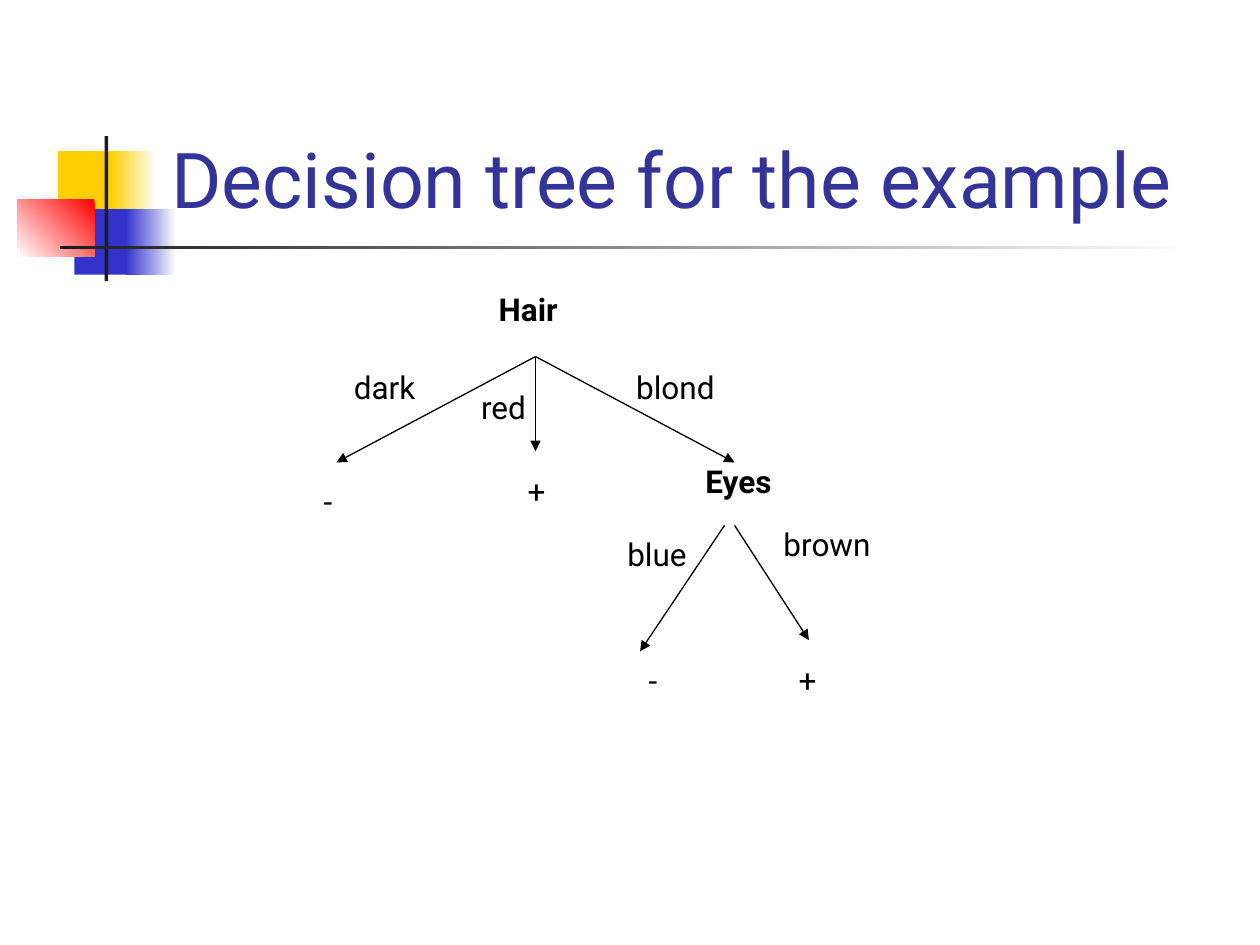
from pptx import Presentation
from pptx.dml.color import RGBColor
from pptx.enum.shapes import MSO_CONNECTOR, MSO_SHAPE
from pptx.enum.text import MSO_ANCHOR, MSO_AUTO_SIZE, PP_ALIGN
from pptx.oxml.ns import qn
from pptx.util import Inches, Pt
from lxml.etree import SubElement

THEME = dict(font="Roboto", title_size=44, label_size=18,
             title="333399", text="000000", white="FFFFFF", yellow="FFCF01",
             blue="3333CC", red="FF0000", dark="1C1C1C")

TITLE = "Decision tree for the example"

# Ornament: box (left, top, width, height), colours, gradient angle
ORNAMENT = [
    ((0.46, 1.2, 0.48, 0.52), ["yellow"], None),
    ((0.88, 1.2, 0.36, 0.52), ["white", "yellow"], 180),
    ((0.59, 1.66, 0.46, 0.52), ["blue"], None),
    ((1, 1.66, 0.4, 0.52), ["white", "blue"], 180),
    ((0.14, 1.58, 0.61, 0.46), ["red", "white"], 225),
    ((0.83, 1.08, 0.03, 1.15), ["dark"], None),
    ((0.48, 1.95, 9, 0.03), ["white", "dark"], 180),
]

# Tree text: wording, left, top, width
ATTRIBUTES = [("Hair", 3.86, 2.25, 0.73), ("Eyes", 5.5, 3.62, 0.75)]
VALUES = [("dark", 2.71, 2.87, 0.73), ("red", 3.72, 3.03, 0.6),
          ("blond", 4.95, 2.87, 0.88), ("blue", 4.88, 4.2, 0.71),
          ("brown", 6.12, 4.12, 0.96)]
LEAVES = [("-", 2.47, 3.78, 0.28), ("+", 4.09, 3.7, 0.34),
          ("-", 5.05, 5.2, 0.28), ("+", 6.24, 5.2, 0.34)]
LABEL_HEIGHT = 0.4

# Branches: start point, end point
HAIR = (4.25, 2.83)
BRANCHES = [(HAIR, (2.67, 3.67)), (HAIR, (4.25, 3.58)), (HAIR, (5.83, 3.67)),
            ((5.75, 4.17), (5.08, 5.17)), ((5.83, 4.17), (6.42, 5.08))]


def color(name):
    return RGBColor.from_string(THEME[name])


def style(p, size, name, bold=False):
    p.font.name = THEME["font"]
    p.font.size = Pt(THEME[size])
    p.font.bold = bold
    p.font.color.rgb = color(name)


def add_block(s, box, colors, angle):
    sp = s.shapes.add_shape(MSO_SHAPE.RECTANGLE, *map(Inches, box))
    sp.shadow.inherit = False
    sp.line.fill.background()
    if angle is None:
        sp.fill.solid()
        sp.fill.fore_color.rgb = color(colors[0])
    else:
        sp.fill.gradient()
        sp.fill.gradient_angle = angle
        for stop, name in zip(sp.fill.gradient_stops, colors):
            stop.color.rgb = color(name)


def add_title(s):
    sp = s.shapes.title
    sp.left, sp.top, sp.width, sp.height = map(Inches, (1.26, 0.23, 8.52, 1.6))
    tf = sp.text_frame
    tf.text = TITLE
    tf.auto_size = MSO_AUTO_SIZE.NONE
    tf.vertical_anchor = MSO_ANCHOR.BOTTOM
    p = tf.paragraphs[0]
    p.alignment = PP_ALIGN.LEFT
    style(p, "title_size", "title")
    s.shapes._spTree.append(sp._element)  # in front of the ornament


def add_branch(s, start, end):
    line = s.shapes.add_connector(MSO_CONNECTOR.STRAIGHT,
                                  *map(Inches, start + end))
    line.line.color.rgb = color("text")
    line.line.width = Pt(0.75)
    SubElement(line.line._get_or_add_ln(), qn("a:tailEnd"), type="triangle")
    SubElement(line._element.spPr, qn("a:effectLst"))


def add_label(s, text, left, top, width, bold=False):
    box = (left, top, width, LABEL_HEIGHT)
    tf = s.shapes.add_textbox(*map(Inches, box)).text_frame
    tf.word_wrap = False
    tf.auto_size = MSO_AUTO_SIZE.SHAPE_TO_FIT_TEXT
    tf.text = text
    style(tf.paragraphs[0], "label_size", "text", bold)


def main():
    prs = Presentation()
    prs.slide_width, prs.slide_height = Inches(10), Inches(7.5)
    s = prs.slides.add_slide(prs.slide_layouts[5])

    # Ornament and title
    for block in ORNAMENT:
        add_block(s, *block)
    add_title(s)

    # Decision tree
    for branch in BRANCHES:
        add_branch(s, *branch)
    for label in VALUES + LEAVES:
        add_label(s, *label)
    for label in ATTRIBUTES:
        add_label(s, *label, bold=True)

    prs.save("out.pptx")


if __name__ == "__main__":
    main()
